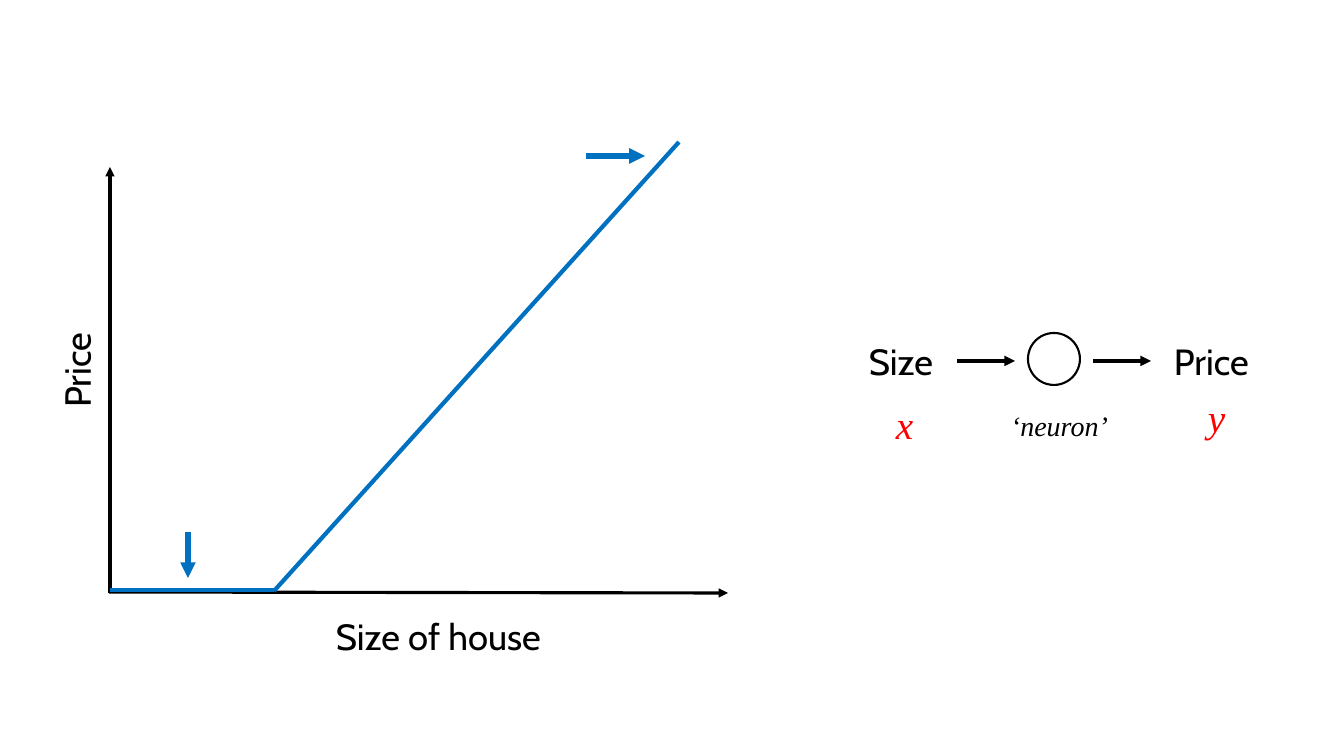
from lxml import etree
from pptx import Presentation
from pptx.dml.color import RGBColor
from pptx.enum.shapes import MSO_CONNECTOR, MSO_SHAPE
from pptx.enum.text import MSO_AUTO_SIZE
from pptx.oxml.ns import qn
from pptx.util import Pt

STRAIGHT = MSO_CONNECTOR.STRAIGHT
OVAL = MSO_SHAPE.OVAL
FIT_SHAPE = MSO_AUTO_SIZE.SHAPE_TO_FIT_TEXT

PX = 914400 / 100.8  # EMU in one px
SLIDE_SIZE = (1344, 756)
BLACK, BLUE, RED = "000000", "0070C0", "FF0000"
LABEL_FONT, SYMBOL_FONT = "Cabin", "Times New Roman"

# start, end, colour, width in points, arrowhead
PLOT_LINES = [
    ((110, 593), (110, 167), BLACK, 2.25, True),
    ((109, 592), (728, 593), BLACK, 2.25, True),
    ((679, 142), (274, 591), BLUE, 3, False),
    ((274, 590), (110, 590), BLUE, 3, False),
    ((188, 532), (188, 578), BLUE, 3.75, True),
    ((586, 156), (645, 156), BLUE, 3.75, True),
]

# text, left, top, width, height, rotation
LABELS = [
    ("Price", 26, 340, 101, 54, 270),
    ("Size of house", 326, 609, 230, 54, 0),
    ("Size", 859, 334, 85, 54, 0),
    ("Price", 1164, 334, 101, 54, 0),
]

# text, left, top, width, height, points, colour
SYMBOLS = [
    ("x", 886, 395, 31, 57, 28, RED),
    ("y", 1198, 388, 31, 57, 28, RED),
    ("‘neuron’", 1001, 404, 138, 44, 20, BLACK),
]

NEURON = (1028, 333, 52, 52)
FLOW_Y = 361
FLOW_STARTS = (957, 1093)
FLOW_LENGTH = 58


def emu(*lengths):
    return [round(length * PX) for length in lengths]


def rgb(colour):
    return RGBColor.from_string(colour)


def add_line(slide, start, end, colour, width, arrow):
    line = slide.shapes.add_connector(STRAIGHT, *emu(*start, *end))
    line.line.color.rgb = rgb(colour)
    line.line.width = Pt(width)
    if arrow:
        outline = line.line._get_or_add_ln()
        etree.SubElement(outline, qn("a:tailEnd"), type="triangle")
    etree.SubElement(line._element.spPr, qn("a:effectLst"))


def add_text(slide, text, box, font_name, points, colour, italic=False, wrap=False):
    textbox = slide.shapes.add_textbox(*emu(*box))
    frame = textbox.text_frame
    frame.word_wrap = wrap
    frame.auto_size = FIT_SHAPE
    frame.text = text
    font = frame.paragraphs[0].runs[0].font
    font.name = font_name
    font.size = Pt(points)
    font.italic = italic
    font.color.rgb = rgb(colour)
    return textbox


def add_neuron(slide):
    neuron = slide.shapes.add_shape(OVAL, *emu(*NEURON))
    neuron.shadow.inherit = False
    neuron.fill.background()
    neuron.line.color.rgb = rgb(BLACK)
    neuron.line.width = Pt(1.5)


def main():
    deck = Presentation()
    deck.slide_width, deck.slide_height = emu(*SLIDE_SIZE)
    slide = deck.slides.add_slide(deck.slide_layouts[6])

    for plot_line in PLOT_LINES:
        add_line(slide, *plot_line)
    for text, *box, rotation in LABELS:
        add_text(slide, text, box, LABEL_FONT, 26, BLACK).rotation = rotation

    for x in FLOW_STARTS:
        add_line(slide, (x, FLOW_Y), (x + FLOW_LENGTH, FLOW_Y), BLACK, 2.5, True)
    add_neuron(slide)
    for text, *box, points, colour in SYMBOLS:
        add_text(slide, text, box, SYMBOL_FONT, points, colour, italic=True, wrap=True)

    deck.save("out.pptx")


if __name__ == "__main__":
    main()
